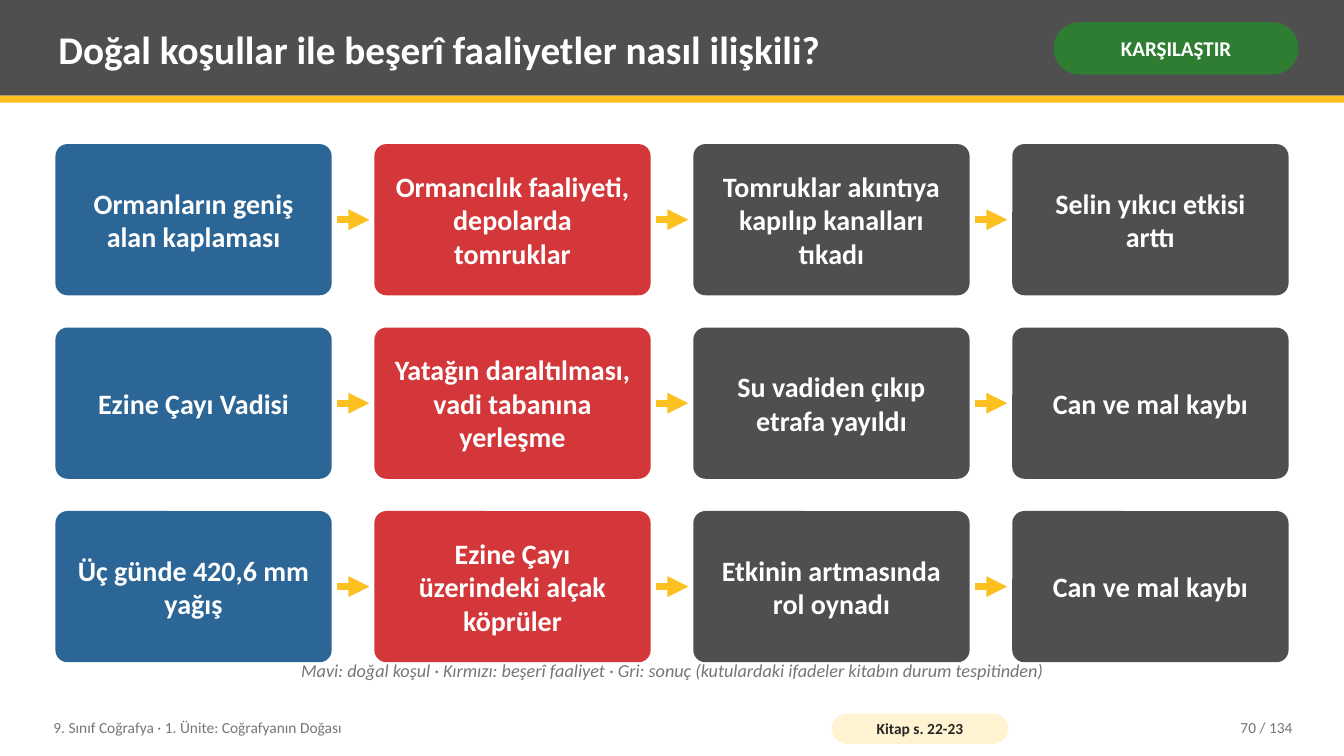
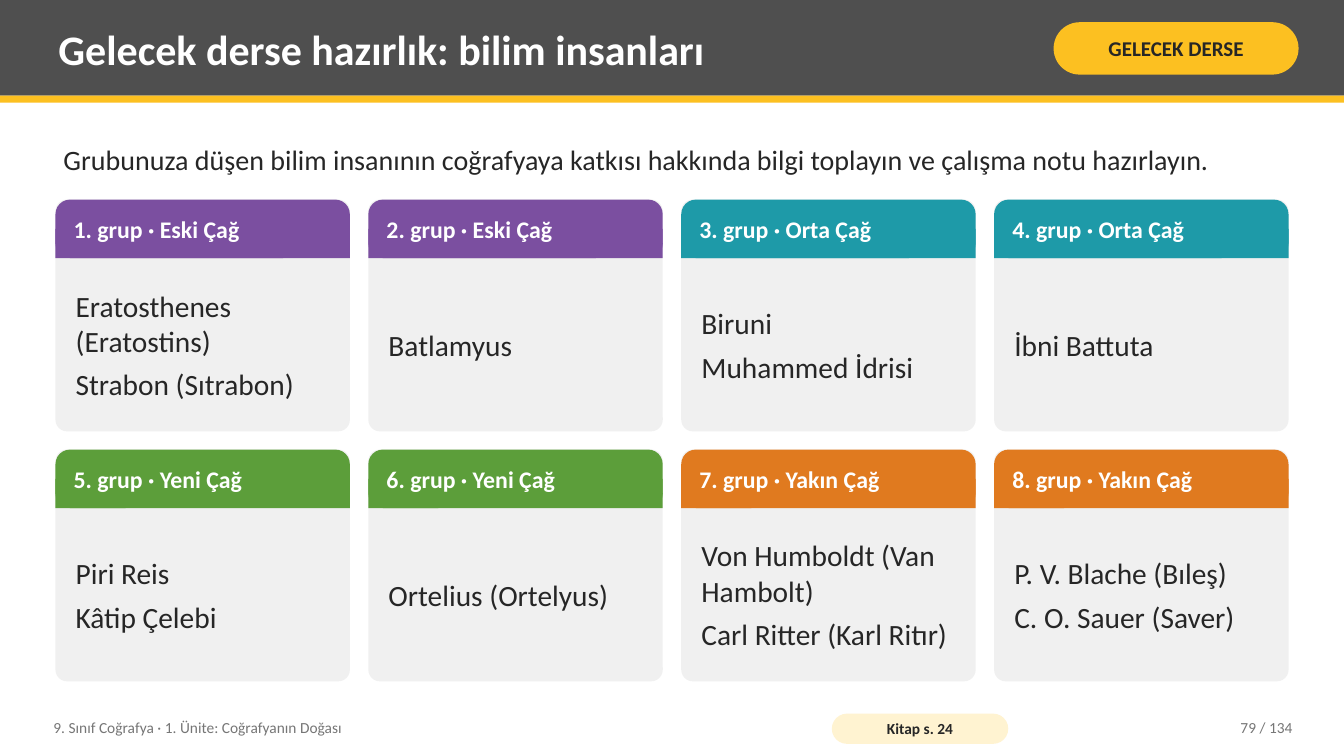
"""Builds two geography lesson slides: cause chains and study groups."""
from lxml import etree
from pptx import Presentation
from pptx.dml.color import RGBColor
from pptx.enum import shapes, text
from pptx.oxml import ns
from pptx.util import Inches, Pt

WHITE = RGBColor(0xFF, 0xFF, 0xFF)
INK = RGBColor(0x26, 0x26, 0x26)
MUTED = RGBColor(0x76, 0x76, 0x76)
GRAY = RGBColor(0x4F, 0x4F, 0x4F)
PALE = RGBColor(0xF0, 0xF0, 0xF0)
AMBER = RGBColor(0xFC, 0xC0, 0x21)
CREAM = RGBColor(0xFF, 0xF3, 0xD1)
BLUE = RGBColor(0x2C, 0x66, 0x96)
RED = RGBColor(0xD3, 0x37, 0x3A)
FOREST = RGBColor(0x2E, 0x7D, 0x32)
PURPLE = RGBColor(0x7B, 0x4F, 0xA0)
TEAL = RGBColor(0x1E, 0x9A, 0xA8)
GREEN = RGBColor(0x5C, 0x9E, 0x3A)
ORANGE = RGBColor(0xE0, 0x7A, 0x1F)

FONT = "Calibri"
LEFT, CONTENT_W, COLUMNS = 0.55, 12.23, 4
RECT = shapes.MSO_SHAPE.RECTANGLE
ROUND = shapes.MSO_SHAPE.ROUNDED_RECTANGLE
CENTER, RIGHT = text.PP_ALIGN.CENTER, text.PP_ALIGN.RIGHT
TOP, MIDDLE = text.MSO_ANCHOR.TOP, text.MSO_ANCHOR.MIDDLE

UNIT = "9. Sınıf Coğrafya · 1. Ünite: Coğrafyanın Doğası"
PAGE_TOTAL = 134

CHAIN_FRAME = {
    "title": "Doğal koşullar ile beşerî faaliyetler nasıl ilişkili?", "title_size": 28,
    "tag": "KARŞILAŞTIR", "tag_fill": FOREST, "tag_color": WHITE,
    "book": "Kitap s. 22-23", "page": 70,
}
CHAIN_FILLS = [BLUE, RED, GRAY, GRAY]
CHAINS = [
    ["Ormanların geniş alan kaplaması", "Ormancılık faaliyeti, depolarda tomruklar",
     "Tomruklar akıntıya kapılıp kanalları tıkadı", "Selin yıkıcı etkisi arttı"],
    ["Ezine Çayı Vadisi", "Yatağın daraltılması, vadi tabanına yerleşme",
     "Su vadiden çıkıp etrafa yayıldı", "Can ve mal kaybı"],
    ["Üç günde 420,6 mm yağış", "Ezine Çayı üzerindeki alçak köprüler",
     "Etkinin artmasında rol oynadı", "Can ve mal kaybı"],
]
LEGEND = ("Mavi: doğal koşul · Kırmızı: beşerî faaliyet · Gri: sonuç "
          "(kutulardaki ifadeler kitabın durum tespitinden)")

GROUP_FRAME = {
    "title": "Gelecek derse hazırlık: bilim insanları", "title_size": 30,
    "tag": "GELECEK DERSE", "tag_fill": AMBER, "tag_color": INK,
    "book": "Kitap s. 24", "page": 79,
}
TASK = ("Grubunuza düşen bilim insanının coğrafyaya katkısı hakkında bilgi toplayın "
        "ve çalışma notu hazırlayın.")
ERA_FILLS = {"Eski Çağ": PURPLE, "Orta Çağ": TEAL, "Yeni Çağ": GREEN, "Yakın Çağ": ORANGE}
GROUPS = [
    ("Eski Çağ", ["Eratosthenes (Eratostins)", "Strabon (Sıtrabon)"]),
    ("Eski Çağ", ["Batlamyus"]),
    ("Orta Çağ", ["Biruni", "Muhammed İdrisi"]),
    ("Orta Çağ", ["İbni Battuta"]),
    ("Yeni Çağ", ["Piri Reis", "Kâtip Çelebi"]),
    ("Yeni Çağ", ["Ortelius (Ortelyus)"]),
    ("Yakın Çağ", ["Von Humboldt (Van Hambolt)", "Carl Ritter (Karl Ritır)"]),
    ("Yakın Çağ", ["P. V. Blache (Bıleş)", "C. O. Sauer (Saver)"]),
]


def write(shape, lines, size, color, align=None, anchor=MIDDLE, inset=(0.08, 0.04), gap=0, **style):
    frame = shape.text_frame
    pad_x, pad_y = map(Inches, inset)
    layout = {"word_wrap": True, "vertical_anchor": anchor, "margin_left": pad_x,
              "margin_right": pad_x, "margin_top": pad_y, "margin_bottom": pad_y}
    for name, value in layout.items():
        setattr(frame, name, value)
    for index, line in enumerate(lines):
        paragraph = frame.add_paragraph() if index else frame.paragraphs[0]
        paragraph.alignment = align
        if index < len(lines) - 1:
            paragraph.space_after = Pt(gap)
        run = paragraph.add_run()
        run.text = line
        run.font.color.rgb = color
        for name, value in {"name": FONT, "size": Pt(size), **style}.items():
            setattr(run.font, name, value)


def add_text(slide, at, lines, size, color, **options):
    write(slide.shapes.add_textbox(*map(Inches, at)), lines, size, color, **options)


def add_block(slide, at, fill, radius=None):
    kind = RECT if radius is None else ROUND
    block = slide.shapes.add_shape(kind, *map(Inches, at))
    if radius is not None:
        block.adjustments[0] = radius
    block.shadow.inherit = False
    block.fill.solid()
    block.fill.fore_color.rgb = fill
    block.line.fill.background()
    return block


def add_arrow(slide, start, end, y):
    arrow = slide.shapes.add_connector(
        shapes.MSO_CONNECTOR.STRAIGHT, *map(Inches, (start, y, end, y)))
    arrow.line.color.rgb = AMBER
    arrow.line.width = Pt(5)
    line = arrow.line._get_or_add_ln()
    etree.SubElement(line, ns.qn("a:tailEnd"), type="triangle")
    etree.SubElement(arrow._element.spPr, ns.qn("a:effectLst"))


def column_x(column, width):
    return LEFT + column * (CONTENT_W - width) / (COLUMNS - 1)


def add_frame(deck, title, title_size, tag, tag_fill, tag_color, book, page):
    slide = deck.slides.add_slide(deck.slide_layouts[6])
    add_block(slide, (0, 0, 13.33, 0.95), GRAY)
    add_block(slide, (0, 0.95, 13.33, 0.07), AMBER)
    add_text(slide, (0.5, 0.07, 9.75, 0.82), [title], title_size, WHITE, bold=True)
    write(add_block(slide, (10.45, 0.22, 2.43, 0.52), tag_fill, 0.5), [tag], 15, tag_color,
          align=CENTER, inset=(0.05, 0.02), bold=True)
    add_text(slide, (0.45, 7.04, 7.6, 0.36), [UNIT], 11, MUTED)
    write(add_block(slide, (8.25, 7.08, 1.75, 0.3), CREAM, 0.5), [book], 11, INK,
          align=CENTER, inset=(0.04, 0), bold=True)
    add_text(slide, (11.3, 7.04, 1.6, 0.36), [f"{page} / {PAGE_TOTAL}"], 11, MUTED, align=RIGHT)
    return slide


def build_chains(deck):
    slide = add_frame(deck, **CHAIN_FRAME)
    width, height, top, pitch, clearance = 2.74, 1.5, 1.43, 1.82, 0.05
    for row, chain in enumerate(CHAINS):
        y = top + row * pitch
        for column, (step, fill) in enumerate(zip(chain, CHAIN_FILLS)):
            x = column_x(column, width)
            if column:
                previous_end = column_x(column - 1, width) + width
                add_arrow(slide, previous_end + clearance, x - clearance, y + height / 2)
            write(add_block(slide, (x, y, width, height), fill, 0.08), [step], 20, WHITE,
                  align=CENTER, inset=(0.14, 0.08), bold=True)
    add_text(slide, (LEFT, 6.5, CONTENT_W, 0.36), [LEGEND], 13, MUTED,
             align=CENTER, anchor=TOP, italic=True)


def build_groups(deck):
    slide = add_frame(deck, **GROUP_FRAME)
    add_text(slide, (LEFT, 1.28, CONTENT_W, 0.6), [TASK], 20, INK)
    width, height, top, pitch, head = 2.92, 2.3, 1.98, 2.48, 0.58
    for index, (era, scholars) in enumerate(GROUPS):
        row, column = divmod(index, COLUMNS)
        x, y = column_x(column, width), top + row * pitch
        fill = ERA_FILLS[era]
        add_block(slide, (x, y, width, height), PALE, 0.05)
        add_block(slide, (x, y, width, head), fill, 0.25)
        add_block(slide, (x, y + head / 2, width, head / 2), fill)
        add_text(slide, (x + 0.1, y, width - 0.2, head), [f"{index + 1}. grup · {era}"],
                 17, WHITE, bold=True)
        add_text(slide, (x + 0.12, y + head + 0.08, width - 0.24, height - head - 0.16),
                 scholars, 21, INK, gap=6)


def main():
    deck = Presentation()
    deck.slide_width, deck.slide_height = Inches(13.33), Inches(7.5)
    build_chains(deck)
    build_groups(deck)
    deck.save("out.pptx")


if __name__ == "__main__":
    main()
